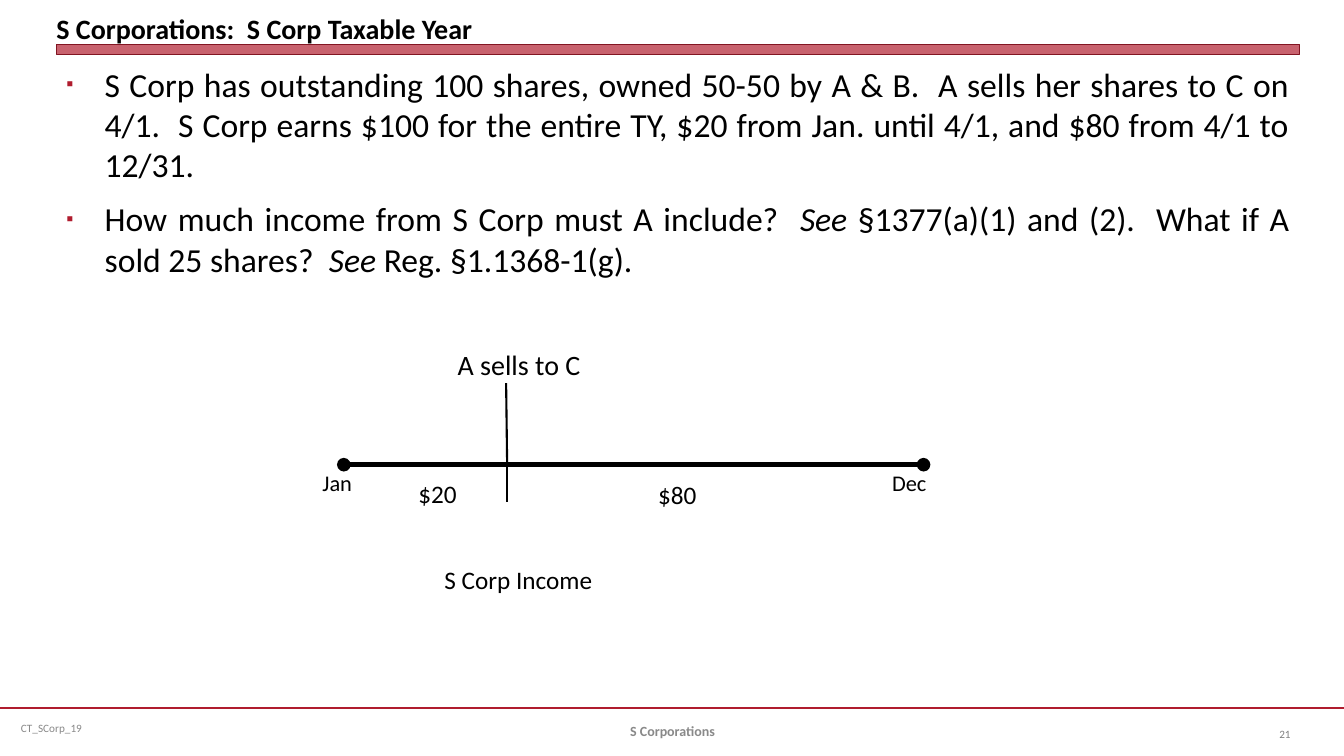
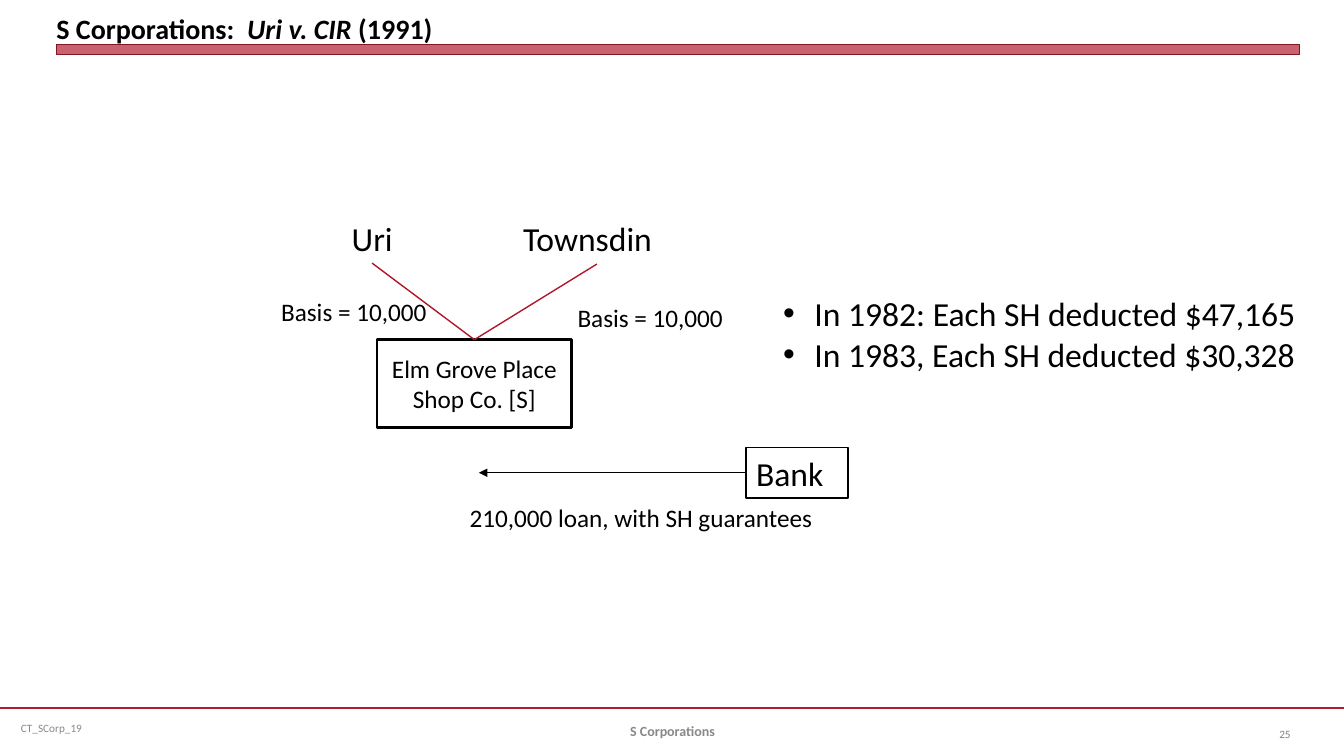
from lxml import etree
from pptx import Presentation
from pptx import util as u
from pptx.dml.color import RGBColor
from pptx.enum import shapes, text
from pptx.oxml.ns import qn

INK = {"black": "000000", "red": "B01C2E", "edge": "821522",
       "spoke": "B0182A", "foot": "898989", "page": "808080"}
LEFT, WIDE = 0.56, 12.33
FONT = "Calibri"
MID = text.MSO_ANCHOR.MIDDLE
PLAIN, SQUARE = shapes.MSO_CONNECTOR.STRAIGHT, shapes.MSO_SHAPE.RECTANGLE
ALIGN = text.PP_ALIGN


def put(sld, box, paras, size=18, ink="black", bold=False, align=ALIGN.LEFT,
        anchor=text.MSO_ANCHOR.TOP, wrap=True, pad=None, edge=None, mark=None, gap=0):
    """Add text; each paragraph is a list of runs, every second one italic.

    edge is the width of a border; mark is (sign, indent, colour, percent).
    """
    spot = [u.Inches(v) for v in box]
    if edge:
        item = sld.shapes.add_shape(SQUARE, *spot)
        item.shadow.inherit = False
        item.fill.background()
        item.line.color.rgb = RGBColor.from_string(INK["black"])
        item.line.width = u.Pt(edge)
    else:
        item = sld.shapes.add_textbox(*spot)
    frame = item.text_frame
    frame.word_wrap = wrap
    frame.vertical_anchor = anchor
    if pad is not None:
        frame.margin_left = frame.margin_right = u.Inches(pad)
        frame.margin_top = frame.margin_bottom = u.Inches(pad)
    for n, runs in enumerate(paras):
        para = frame.add_paragraph() if n else frame.paragraphs[0]
        para.alignment = align
        if n and gap:
            para.space_before = u.Pt(gap)
        if mark:
            sign, dent, tint, part = mark
            prop = para._p.get_or_add_pPr()
            prop.set("marL", str(u.Inches(dent)))
            prop.set("indent", str(-u.Inches(dent)))
            tone = etree.SubElement(prop, qn("a:buClr"))
            etree.SubElement(tone, qn("a:srgbClr"), val=INK[tint])
            etree.SubElement(prop, qn("a:buSzPct"), val=str(part * 1000))
            etree.SubElement(prop, qn("a:buFont"), typeface="Arial")
            etree.SubElement(prop, qn("a:buChar"), char=sign)
        for k, words in enumerate(runs):
            run = para.add_run()
            run.text = words
            run.font.name = FONT
            run.font.size = u.Pt(size)
            run.font.bold = bold
            run.font.italic = k % 2 == 1
            run.font.color.rgb = RGBColor.from_string(INK[ink])
    return item


def link(sld, start, end, width, ink="black", head=None, tail=None):
    wire = sld.shapes.add_connector(PLAIN, *[u.Inches(v) for v in start + end])
    wire.line.color.rgb = RGBColor.from_string(INK[ink])
    wire.line.width = u.Pt(width)
    stroke = wire.line._get_or_add_ln()
    for tag, kind in (("a:headEnd", head), ("a:tailEnd", tail)):
        if kind:
            etree.SubElement(stroke, qn(tag), type=kind)
    etree.SubElement(wire._element.spPr, qn("a:effectLst"))
    return wire


deck = Presentation()
deck.slide_width, deck.slide_height = u.Inches(13.33), u.Inches(7.5)

# Title, band and footer of every slide
pages = []
for title, num in ((["S Corporations:  S Corp Taxable Year"], "21"),
                   (["S Corporations:  ", "Uri v. CIR ", "(1991)"], "25")):
    sld = deck.slides.add_slide(deck.slide_layouts[6])
    link(sld, (0, 7.02), (13.33, 7.02), 1.5, "red")
    put(sld, (0.11, 7.02, 3.44, 0.4), [["CT_SCorp_19"]], 8, "foot", anchor=MID)
    band = sld.shapes.add_shape(SQUARE, *[u.Inches(v) for v in (LEFT, 0.44, WIDE, 0.1)])
    band.shadow.inherit = False
    band.fill.solid()
    band.fill.fore_color.rgb = RGBColor.from_string(INK["red"])
    tint = band._element.spPr.find(qn("a:solidFill"))[0]
    etree.SubElement(tint, qn("a:alpha"), val="69000")
    band.line.color.rgb = RGBColor.from_string(INK["edge"])
    band.line.width = u.Pt(0)
    put(sld, (LEFT, 0.05, WIDE, 0.4), [title], 20, bold=True,
        anchor=text.MSO_ANCHOR.BOTTOM, pad=0)
    put(sld, (4.56, 7.05, 4.22, 0.4), [["S Corporations"]], 10, "foot", bold=True,
        align=ALIGN.CENTER, anchor=MID)
    put(sld, (12.23, 7.08, 0.67, 0.4), [[num]], 8, "page", align=ALIGN.RIGHT, anchor=MID)
    pages.append(sld)
year, case = pages

# Taxable year: facts and timeline
put(year, (LEFT, 0.58, WIDE, 1.81), [
    ["S Corp has outstanding 100 shares, owned 50-50 by A & B.  A sells her shares to C "
     "on 4/1.  S Corp earns $100 for the entire TY, $20 from Jan. until 4/1, and $80 "
     "from 4/1 to 12/31."],
    ["How much income from S Corp must A include?  ", "See ",
     "§1377(a)(1) and (2).  What if A sold 25 shares?  ", "See ", "Reg. §1.1368-1(g)."],
], 24, align=ALIGN.JUSTIFY, mark=("▪", 0.38, "red", 60), gap=10)
AXIS = 4.61
link(year, (3.41, AXIS), (9.16, AXIS), 3.25, head="oval", tail="oval")
link(year, (5.03, AXIS), (5.02, 3.8), 1.5)
link(year, (5.03, 4.98), (5.03, AXIS), 1.5)
for words, x, y, w, h, size in (
        ("Jan", 3.1, AXIS, 0.5, 0.37, 16), ("Dec", 8.75, AXIS, 0.55, 0.37, 16),
        ("A sells to C", 4.44, 3.4, 1.43, 0.44, 20),
        ("$20", 4.05, 4.7, 0.59, 0.4, 18), ("$80", 6.43, 4.71, 0.59, 0.4, 18),
        ("S Corp Income", 4.31, 5.55, 1.68, 0.4, 18)):
    put(year, (x, y, w, h), [[words]], size, wrap=False)

# Case: owners, company and lender
firm = put(case, (3.74, 3.37, 1.93, 0.87), [["Elm Grove Place Shop Co. [S]"]],
           align=ALIGN.CENTER, anchor=MID, edge=2)
bank = put(case, (7.4, 4.44, 1.01, 0.5), [["Bank"]], 24, edge=1)
for start in ((3.69, 2.61), (5.92, 2.62)):
    link(case, start, (4.7, 3.37), 1, "spoke").end_connect(firm, 0)
link(case, (7.4, 4.69), (4.75, 4.69), 1, tail="triangle").begin_connect(bank, 1)
for words, x, y, w, h, size in (
        ("Uri", 3.39, 2.11, 0.61, 0.5, 24), ("Townsdin", 5.09, 2.11, 1.66, 0.5, 24),
        ("Basis = 10,000", 2.69, 2.89, 1.66, 0.4, 18),
        ("Basis = 10,000", 5.63, 2.95, 1.66, 0.4, 18),
        ("210,000 loan, with SH guarantees", 4.56, 4.93, 3.64, 0.4, 18)):
    put(case, (x, y, w, h), [[words]], size, wrap=False)
put(case, (7.67, 2.86, 5.33, 0.91),
    [["In 1982: Each SH deducted $47,165"], ["In 1983, Each SH deducted $30,328"]],
    24, wrap=False, mark=("•", 0.31, "black", 100))

deck.save("out.pptx")
